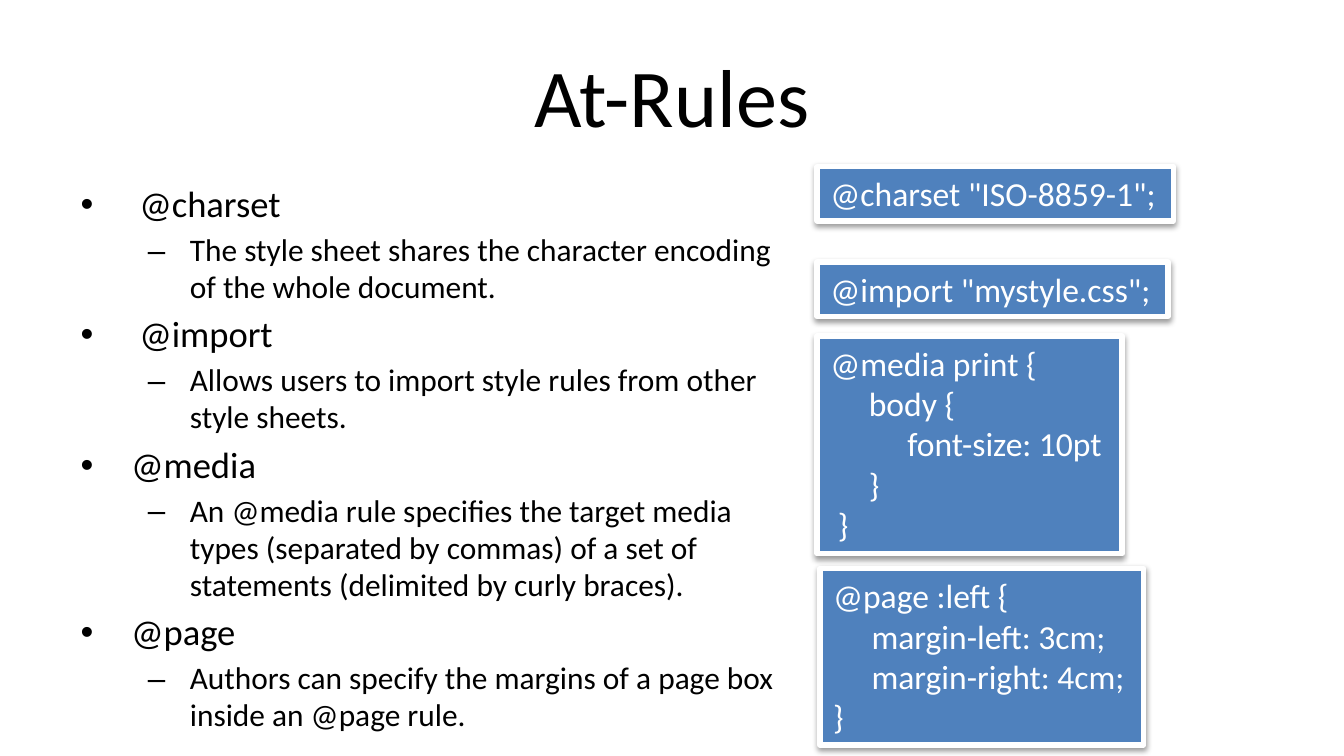
from lxml.etree import SubElement
from pptx import Presentation
from pptx.dml.color import RGBColor
from pptx.enum.shapes import MSO_SHAPE as Shape
from pptx.enum.text import MSO_ANCHOR as Anchor, MSO_AUTO_SIZE as AutoSize, PP_ALIGN as Align
from pptx.oxml.ns import qn
from pptx.util import Pt

BLACK = RGBColor(0x00, 0x00, 0x00)
WHITE = RGBColor(0xFF, 0xFF, 0xFF)
BLUE = RGBColor(0x4F, 0x81, 0xBD)
FONT = "Calibri"
CODE_INDENT = 20.6

RULES = [
    (" @charset", "The style sheet shares the character encoding of the whole document."),
    (" @import", "Allows users to import style rules from other style sheets."),
    ("@media", "An @media rule specifies the target media types (separated by commas) "
               "of a set of statements (delimited by curly braces)."),
    ("@page", "Authors can specify the margins of a page box inside an @page rule."),
]
LEVELS = [(19.6, 27, -27), (16.8, 58.5, -22.5)]

SNIPPETS = [
    ((437.8, 89.2, 190.8, 29.1), [(0, '@charset "ISO-8859-1";')]),
    ((437.8, 140.4, 187.9, 29.1), [(0, '@import "mystyle.css";')]),
    ((437.8, 180, 163.4, 116.6),
     [(0, "@media print {"), (1, "body {"), (2, "font-size: 10pt"), (1, "}"), (0, " }")]),
    ((439.2, 304.6, 173.5, 94.5),
     [(0, "@page :left {"), (1, "margin-left: 3cm;"), (1, "margin-right: 4cm;"), (0, "}")]),
]


def place(shape, box):
    """Move a shape to a box given in points."""
    shape.left, shape.top, shape.width, shape.height = map(Pt, box)


def set_font(paragraph, size, color):
    """Format all text of a paragraph."""
    paragraph.font.name = FONT
    paragraph.font.size = Pt(size)
    paragraph.font.color.rgb = color


def set_indent(paragraph, margin, indent):
    """Set the left margin and first-line indent of a paragraph."""
    properties = paragraph._p.get_or_add_pPr()
    properties.set("marL", str(Pt(margin)))
    properties.set("indent", str(Pt(indent)))


def add_paragraph(frame, index, text):
    """Return the paragraph at an index, reusing the first one."""
    paragraph = frame.add_paragraph() if index else frame.paragraphs[0]
    paragraph.text = text
    return paragraph


def fill_title(title, box):
    """Write the slide title."""
    place(title, box)
    title.text_frame.vertical_anchor = Anchor.MIDDLE
    paragraph = add_paragraph(title.text_frame, 0, "At-Rules")
    paragraph.alignment = Align.CENTER
    set_font(paragraph, 44, BLACK)


def fill_rules(body, box):
    """Write the list of rules with their explanations."""
    place(body, box)
    frame = body.text_frame
    frame.auto_size = AutoSize.NONE
    lines = [(level, text) for rule in RULES for level, text in enumerate(rule)]
    for index, (level, text) in enumerate(lines):
        size, margin, indent = LEVELS[level]
        paragraph = add_paragraph(frame, index, text)
        paragraph.level = level
        paragraph.line_spacing = 0.98
        set_indent(paragraph, margin, indent)
        set_font(paragraph, size, BLACK)


def add_shadow(shape):
    """Give a shape a soft shadow below it."""
    shape.shadow.inherit = False
    effects = shape._element.spPr.find(qn("a:effectLst"))
    shadow = SubElement(effects, qn("a:outerShdw"), blurRad=str(Pt(3.1)),
                        dist=str(Pt(1.6)), dir="5400000", rotWithShape="0")
    color = SubElement(shadow, qn("a:srgbClr"), val="000000")
    SubElement(color, qn("a:alpha"), val="38000")


def add_snippet(slide, box, lines):
    """Add a code box with indented lines."""
    shape = slide.shapes.add_shape(Shape.RECTANGLE, *map(Pt, box))
    shape.fill.solid()
    shape.fill.fore_color.rgb = BLUE
    shape.line.color.rgb = WHITE
    shape.line.width = Pt(3)
    add_shadow(shape)
    frame = shape.text_frame
    frame.word_wrap = False
    frame.auto_size = AutoSize.SHAPE_TO_FIT_TEXT
    frame.vertical_anchor = Anchor.TOP
    for index, (depth, text) in enumerate(lines):
        paragraph = add_paragraph(frame, index, text)
        paragraph.alignment = Align.LEFT
        set_indent(paragraph, depth * CODE_INDENT, 0)
        set_font(paragraph, 18, WHITE)


def build():
    """Build and save the slide."""
    presentation = Presentation()
    presentation.slide_width, presentation.slide_height = Pt(720), Pt(405)
    slide = presentation.slides.add_slide(presentation.slide_layouts[1])
    fill_title(slide.shapes.title, (36, 16.6, 648, 67.7))
    fill_rules(slide.placeholders[1], (36, 94.3, 386.6, 267.1))
    for box, lines in SNIPPETS:
        add_snippet(slide, box, lines)
    presentation.save("out.pptx")


build()
